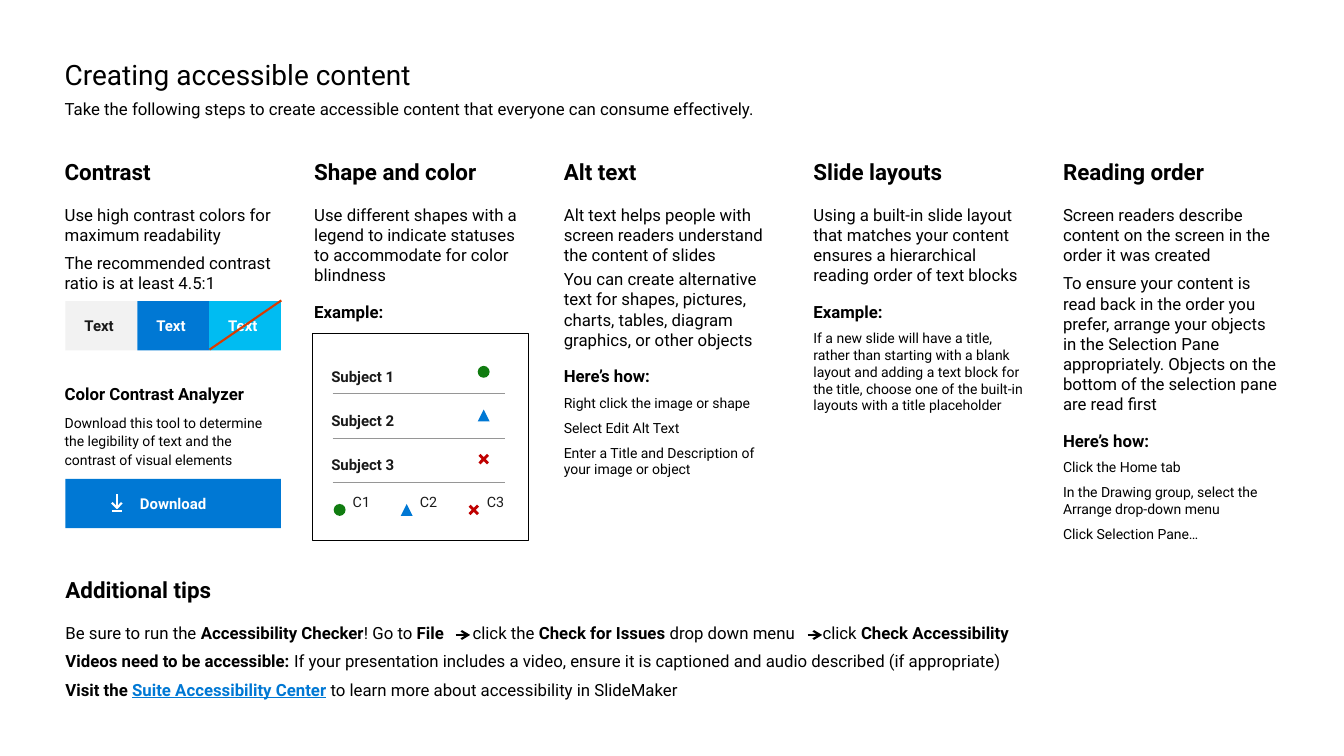
from lxml import etree
from pptx import Presentation
from pptx import util as u
from pptx.dml.color import RGBColor
from pptx.enum import shapes, text
from pptx.oxml import ns

COLORS = {
    "black": "000000", "ink": "1A1A1A", "white": "FFFFFF", "pale": "F2F2F2",
    "blue": "0078D4", "sky": "00BCF2", "orange": "D83B01", "rule": "969696",
    "green": "107C10", "red": "C00000",
}
BOLD = {"bold": True}
# Each style: font size, bold, colour, paragraph format
STYLES = {
    "title": (20, False, "black", {}),
    "subtitle": (12, False, "black", {"line_spacing": 0.9}),
    "head": (16, True, "black", {"space_after": u.Pt(6)}),
    "lead": (12, False, "black", {"space_before": u.Pt(7.8)}),
    "body": (12, False, "black", {"space_before": u.Pt(5.8)}),
    "tight": (12, False, "black", {"space_before": u.Pt(2.9)}),
    "label": (12, True, "black", {"space_before": u.Pt(11.6)}),
    "note": (10, False, "black", {"space_before": u.Pt(5.8)}),
    "tool": (10, False, "black", {"space_before": u.Pt(5.8), "line_spacing": 1.1}),
    "dark": (10.7, True, "ink", {}),
    "light": (10.7, True, "white", {}),
    "button": (10.7, True, "white", {"alignment": text.PP_ALIGN.CENTER}),
    "subject": (10.7, True, "ink", {"line_spacing": 2.0, "space_after": u.Pt(5.8)}),
    "legend": (10.2, False, "ink", {}),
}
NO_INSET = (0, 0, 0, 0)
CARD_INSET = (0.48, 0.41, 0.48, 0.41)
MSO = shapes.MSO_SHAPE


class SlideBuilder:
    def __init__(self, slide, font_name):
        self.slide = slide
        self.font_name = font_name

    def color(self, name):
        return RGBColor.from_string(COLORS[name])

    def fill_text(self, shape, paragraphs, inset=NO_INSET, anchor="TOP", tabs=()):
        frame = shape.text_frame
        sides = ("margin_left", "margin_top", "margin_right", "margin_bottom")
        settings = {side: u.Cm(gap) for side, gap in zip(sides, inset)}
        settings.update(word_wrap=True, vertical_anchor=text.MSO_ANCHOR[anchor])
        for name, value in settings.items():
            setattr(frame, name, value)
        for index, (style, content) in enumerate(paragraphs):
            paragraph = frame.add_paragraph() if index else frame.paragraphs[0]
            size, bold, color, layout = STYLES[style]
            if tabs:
                stops = etree.SubElement(paragraph._p.get_or_add_pPr(), ns.qn("a:tabLst"))
                for stop in tabs:
                    etree.SubElement(stops, ns.qn("a:tab"), pos=str(u.Cm(stop)), algn="l")
            for name, value in {"alignment": text.PP_ALIGN.LEFT, **layout}.items():
                if index or name != "space_before":
                    setattr(paragraph, name, value)
            runs = [(content, {})] if isinstance(content, str) else content
            for words, extra in runs:
                run = paragraph.add_run()
                run.text = words
                look = {"name": self.font_name, "size": u.Pt(size), "bold": bold,
                        "color": color, **extra}
                run.font.color.rgb = self.color(look.pop("color"))
                for name, value in look.items():
                    setattr(run.font, name, value)

    def text(self, box, paragraphs, inset=NO_INSET, tabs=()):
        shape = self.slide.shapes.add_textbox(*map(u.Cm, box))
        self.fill_text(shape, paragraphs, inset, tabs=tabs)

    def shape(self, kind, box, fill, line=None):
        shape = self.slide.shapes.add_shape(kind, *map(u.Cm, box))
        shape.shadow.inherit = False
        shape.fill.solid()
        shape.fill.fore_color.rgb = self.color(fill)
        if line:
            shape.line.color.rgb = self.color(line)
            shape.line.width = u.Pt(0.75)
        else:
            shape.line.fill.background()
        return shape

    def symbol(self, status, x, y):
        kind, fill = status
        shape = self.shape(kind, (x, y, 0.3, 0.3), fill)
        if kind == MSO.CROSS:
            shape.rotation = 45
            shape.adjustments[0] = 0.378

    def line(self, start, end, color, width, arrow=False):
        line = self.slide.shapes.add_connector(
            shapes.MSO_CONNECTOR.STRAIGHT, *map(u.Cm, start + end))
        line.line.color.rgb = self.color(color)
        line.line.width = u.Pt(width)
        if arrow:
            outline = line._element.spPr.find(ns.qn("a:ln"))
            etree.SubElement(outline, ns.qn("a:tailEnd"), type="arrow")
        etree.SubElement(line._element.spPr, ns.qn("a:effectLst"))

    def outline(self, strokes, color, width):
        strokes = [[(u.Cm(x), u.Cm(y)) for x, y in stroke] for stroke in strokes]
        pen = self.slide.shapes.build_freeform(*strokes[0][0], scale=1.0)
        for index, (first, *rest) in enumerate(strokes):
            if index:
                pen.move_to(*first)
            pen.add_line_segments(rest, close=False)
        shape = pen.convert_to_shape()
        shape.shadow.inherit = False
        shape.fill.background()
        shape.line.color.rgb = self.color(color)
        shape.line.width = u.Pt(width)


COLUMNS = [
    [("head", "Contrast"),
     ("lead", "Use high contrast colors for maximum readability"),
     ("body", "The recommended contrast ratio is at least 4.5:1")],
    [("head", "Shape and color"),
     ("lead", "Use different shapes with a legend to indicate statuses to accommodate "
              "for color blindness"),
     ("label", "Example:")],
    [("head", "Alt text"),
     ("lead", "Alt text helps people with screen readers understand the content of slides"),
     ("tight", "You can create alternative text for shapes, pictures, charts, tables, "
               "diagram graphics, or other objects"),
     ("label", "Here’s how:"),
     ("note", "Right click the image or shape"),
     ("note", "Select Edit Alt Text"),
     ("note", "Enter a Title and Description of your image or object")],
    [("head", "Slide layouts"),
     ("lead", "Using a built-in slide layout that matches your content ensures a "
              "hierarchical reading order of text blocks"),
     ("label", "Example:"),
     ("note", "If a new slide will have a title, rather than starting with a blank layout "
              "and adding a text block for the title, choose one of the built-in layouts "
              "with a title placeholder")],
    [("head", "Reading order"),
     ("lead", "Screen readers describe content on the screen in the order it was created"),
     ("body", "To ensure your content is read back in the order you prefer, arrange your "
              "objects in the Selection Pane appropriately. Objects on the bottom of the "
              "selection pane are read first"),
     ("label", "Here’s how:"),
     ("note", "Click the Home tab"),
     ("note", "In the Drawing group, select the Arrange drop-down menu"),
     ("note", "Click Selection Pane…")],
]
TIPS = [
    ("head", "Additional tips"),
    ("lead", [("Be sure to run the ", {}), ("Accessibility Checker", BOLD), ("! Go to ", {}),
              ("File", BOLD), ("\tclick the ", {}), ("Check for Issues ", BOLD),
              ("drop down menu\tclick ", {}), ("Check Accessibility", BOLD)]),
    ("body", [("Videos need to be accessible: ", BOLD),
              ("If your presentation includes a video, ensure it is captioned and audio "
               "described (if appropriate)", {})]),
    ("body", [("Visit the ", BOLD),
              ("Suite Accessibility Center", {**BOLD, "color": "blue", "underline": True}),
              (" to learn more about accessibility in SlideMaker", {})]),
]
STATUSES = [(MSO.OVAL, "green"), (MSO.ISOSCELES_TRIANGLE, "blue"), (MSO.CROSS, "red")]


def main():
    deck = Presentation()
    deck.slide_width, deck.slide_height = u.Cm(33.87), u.Cm(19.05)
    page = SlideBuilder(deck.slides.add_slide(deck.slide_layouts[6]), "Roboto")

    # Title and the five columns
    page.text((1.63, 1.27, 15.29, 1.04), [("title", "Creating accessible content")],
              inset=(0, 0.18, 0, 0))
    page.text((1.63, 2.54, 30.63, 0.46), [
        ("subtitle", "Take the following steps to create accessible content that everyone "
                     "can consume effectively.")])
    for index, column in enumerate(COLUMNS):
        page.text((1.63 + 6.29 * index, 3.99, 5.46, 9.5), column)

    # Contrast swatches, the last one struck out
    swatches = [("pale", "dark"), ("blue", "light"), ("sky", "light")]
    for index, (fill, style) in enumerate(swatches):
        swatch = page.shape(MSO.RECTANGLE, (1.65 + 1.81 * index, 7.59, 1.81, 1.24), fill)
        page.fill_text(swatch, [(style, "Text")], CARD_INSET, "MIDDLE")
    page.line((7.09, 7.57), (5.28, 8.81), "orange", 1.5)

    # Contrast analyzer and download button
    page.text((1.63, 9.68, 5.46, 2.13), [
        ("label", "Color Contrast Analyzer"),
        ("tool", "Download this tool to determine the legibility of text and the contrast "
                 "of visual elements")])
    download = page.shape(MSO.RECTANGLE, (1.65, 12.07, 5.43, 1.24), "blue")
    page.fill_text(download, [("button", "Download")], (0.41,) * 4, "MIDDLE")
    page.outline([[(3.07, 12.67), (2.95, 12.8), (2.82, 12.67)],
                  [(2.95, 12.8), (2.95, 12.45)],
                  [(2.82, 12.88), (3.07, 12.88)]], "white", 1.5)

    # Status card with its legend
    card = page.shape(MSO.RECTANGLE, (7.87, 8.41, 5.46, 5.21), "white", line="black")
    page.fill_text(card, [("subject", f"Subject {n}") for n in (1, 2, 3)], CARD_INSET)
    for index, status in enumerate(STATUSES):
        rule_y = 9.91 + 1.13 * index
        legend_x = 8.41 + 1.69 * index
        page.line((8.38, rule_y), (12.73, rule_y), "rule", 0.75)
        page.symbol(status, 12.04, 9.22 + 1.1 * index)
        page.symbol(status, legend_x, 12.7)
        page.text((legend_x, 12.22, 1.65, 1.24), [("legend", f"C{index + 1}")], CARD_INSET)

    # Additional tips, with an arrow before each menu step
    page.text((1.65, 14.53, 30.58, 3.15), TIPS, tabs=(10.26, 19.08))
    for arrow_x in (11.48, 20.35):
        page.line((arrow_x, 16), (arrow_x + 0.37, 16), "black", 1.5, arrow=True)

    deck.save("out.pptx")


if __name__ == "__main__":
    main()
